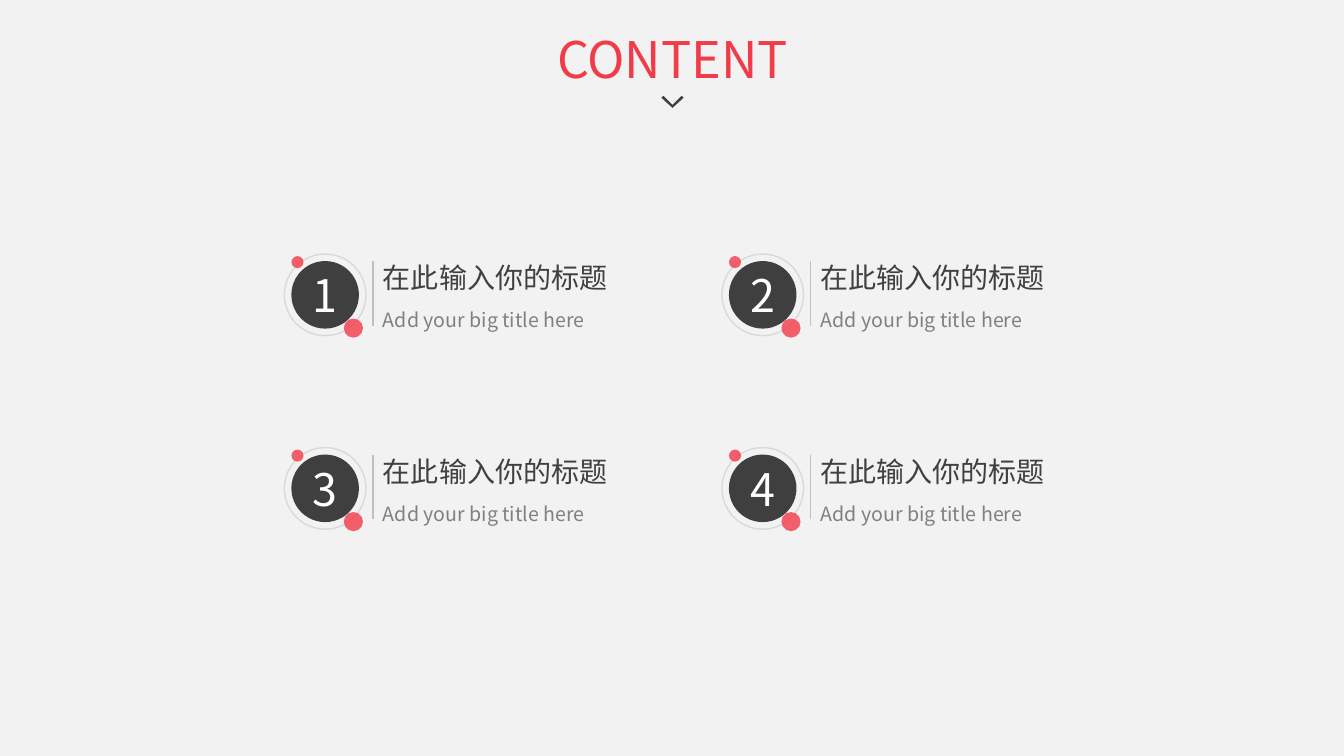
"""Build a contents slide with four numbered entries in a two by two grid."""
from itertools import product

from lxml.etree import SubElement
from pptx import Presentation
from pptx.dml.color import RGBColor
from pptx.enum.shapes import MSO_CONNECTOR, MSO_SHAPE
from pptx.enum.text import MSO_ANCHOR, MSO_AUTO_SIZE, PP_ALIGN
from pptx.oxml.ns import qn
from pptx.util import Inches, Pt

FONT = "Noto Sans CJK SC"
COLORS = {
    "background": "F2F2F2", "accent": "F23B48", "dark": "3F3F3F",
    "heading": "404040", "caption": "808080", "ring": "D9D9D9",
    "divider": "BFBFBF", "number": "FFFFFF",
}
LEFT, TOP = 2.82, 2.52
COLUMN_STEP, ROW_STEP = 4.34, 1.92


def write(shape, text, size, color, align=PP_ALIGN.CENTER, anchor=MSO_ANCHOR.TOP, grow=True):
    frame = shape.text_frame
    frame.word_wrap = True
    frame.vertical_anchor = anchor
    frame.auto_size = MSO_AUTO_SIZE.SHAPE_TO_FIT_TEXT if grow else MSO_AUTO_SIZE.NONE
    paragraph = frame.paragraphs[0]
    paragraph.alignment = align
    run = paragraph.add_run()
    run.text = text
    run.font.size = Pt(size)
    run.font.color.rgb = RGBColor.from_string(COLORS[color])
    run.font.name = FONT
    SubElement(run.font._element, qn("a:ea"), typeface=FONT)


def add_circle(shapes, left, top, diameter, fill=None, line=None, opacity=100):
    circle = shapes.add_shape(MSO_SHAPE.OVAL, Inches(left), Inches(top),
                              Inches(diameter), Inches(diameter))
    circle.shadow.inherit = False
    circle.fill.background()
    circle.line.fill.background()
    if fill:
        circle.fill.solid()
        circle.fill.fore_color.rgb = RGBColor.from_string(COLORS[fill])
    if line:
        circle.line.color.rgb = RGBColor.from_string(COLORS[line])
        circle.line.width = Pt(1)
    if opacity < 100:
        color = circle._element.spPr.find(qn("a:solidFill"))[0]
        SubElement(color, qn("a:alpha"), val=str(opacity * 1000))
    return circle


presentation = Presentation()
presentation.slide_width = Inches(13.33)
presentation.slide_height = Inches(7.5)
slide = presentation.slides.add_slide(presentation.slide_layouts[6])
slide.background.fill.solid()
slide.background.fill.fore_color.rgb = RGBColor.from_string(COLORS["background"])

for number, (row, column) in enumerate(product(range(2), range(2)), start=1):
    left = LEFT + column * COLUMN_STEP
    top = TOP + row * ROW_STEP
    shapes = slide.shapes.add_group_shape().shapes

    disc = add_circle(shapes, left + 0.07, top + 0.07, 0.67, fill="dark")
    write(disc, str(number), size=32, color="number", anchor=MSO_ANCHOR.MIDDLE, grow=False)
    add_circle(shapes, left, top, 0.81, line="ring")
    add_circle(shapes, left + 0.59, top + 0.64, 0.19, fill="accent", opacity=80)
    add_circle(shapes, left + 0.07, top + 0.02, 0.12, fill="accent", opacity=80)

    for text, offset, height, size, color in (
        ("在此输入你的标题", 0.02, 0.44, 20, "heading"),
        ("Add your big title here", 0.49, 0.34, 14, "caption"),
    ):
        textbox = shapes.add_textbox(Inches(left + 0.88), Inches(top + offset),
                                     Inches(2.47), Inches(height))
        write(textbox, text, size=size, color=color, align=PP_ALIGN.JUSTIFY)

    divider = shapes.add_connector(MSO_CONNECTOR.STRAIGHT, Inches(left + 0.88), Inches(top + 0.07),
                                   Inches(left + 0.88), Inches(top + 0.71))
    divider.line.color.rgb = RGBColor.from_string(COLORS["divider"])
    divider.line.width = Pt(1)
    SubElement(divider._element.spPr, qn("a:effectLst"))

title = slide.shapes.add_textbox(Inches(5.24), Inches(0.23), Inches(2.86), Inches(0.71))
write(title, "CONTENT", size=36, color="accent")

chevron_points = [(6.76, 0.95), (6.78, 0.97), (6.67, 1.07), (6.56, 0.97), (6.58, 0.95), (6.67, 1.04)]
corners = [(Inches(x), Inches(y)) for x, y in chevron_points]
builder = slide.shapes.build_freeform(*corners[0])
builder.add_line_segments(corners[1:], close=True)
chevron = builder.convert_to_shape()
chevron.shadow.inherit = False
chevron.fill.solid()
chevron.fill.fore_color.rgb = RGBColor.from_string(COLORS["dark"])
chevron.line.fill.background()

presentation.save("out.pptx")
